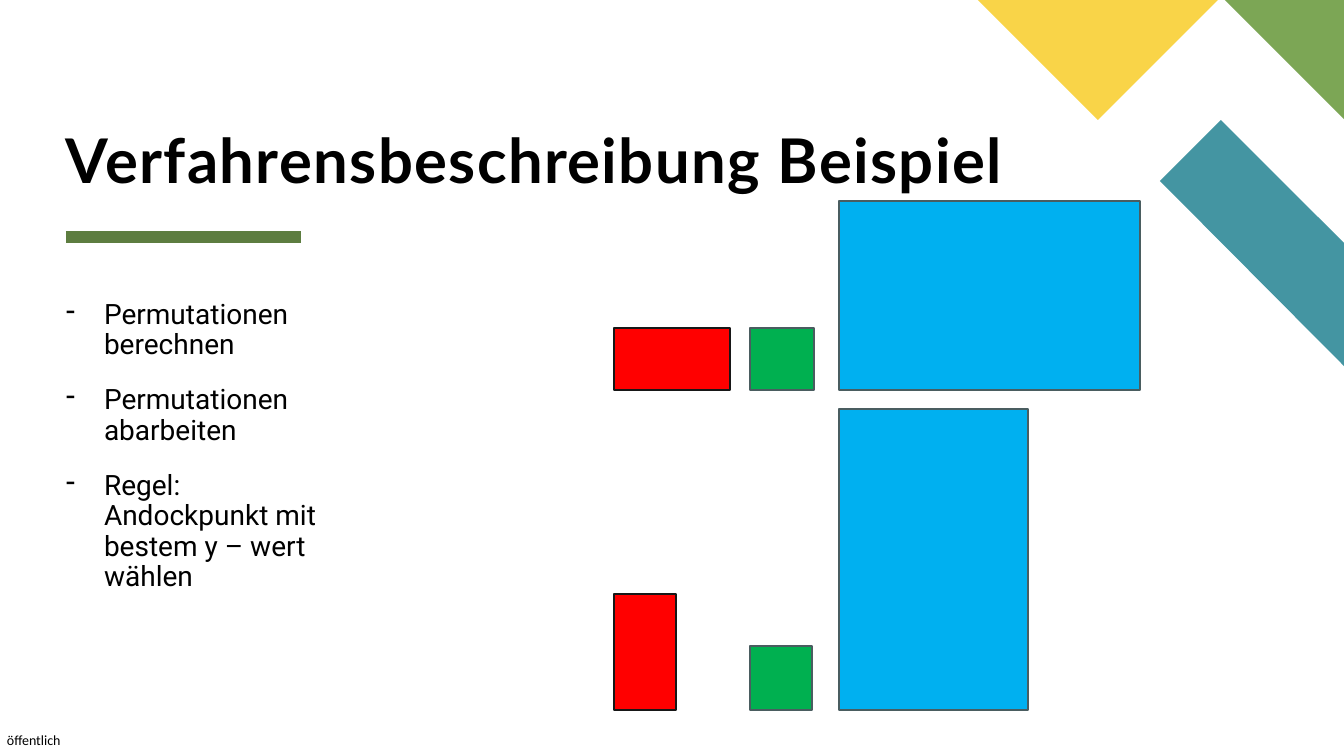
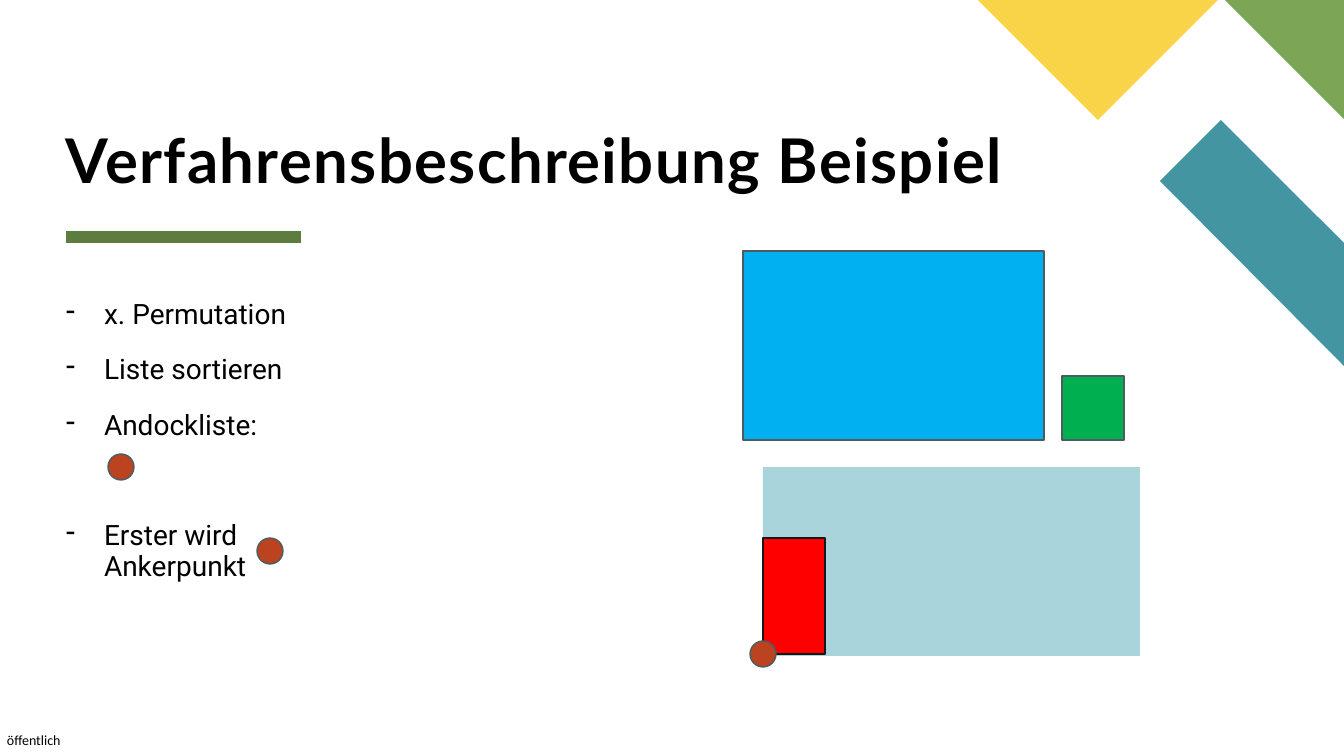
from dataclasses import dataclass

from lxml import etree
from pptx import Presentation
from pptx.dml.color import RGBColor
from pptx.enum.shapes import MSO_CONNECTOR, MSO_SHAPE
from pptx.enum.text import MSO_ANCHOR, MSO_AUTO_SIZE, PP_ALIGN
from pptx.oxml.ns import qn
from pptx.util import Pt

RECT, OVAL = MSO_SHAPE.RECTANGLE, MSO_SHAPE.OVAL
STRAIGHT = MSO_CONNECTOR.STRAIGHT
LEFT, BOTTOM, TOP = PP_ALIGN.LEFT, MSO_ANCHOR.BOTTOM, MSO_ANCHOR.TOP
NO_AUTOFIT = MSO_AUTO_SIZE.NONE

EMU_PER_PX = 914400 / 100.8
SLIDE_WIDTH, SLIDE_HEIGHT = 1344, 756
MARGIN = 66
BULLET_INDENT = 38
TITLE_ONLY = 5

COLORS = {
    "text": "000000",
    "teal": "4495A2",
    "leaf": "7CA655",
    "yellow": "F9D448",
    "rule": "5D7D40",
    "red": "FF0000",
    "green": "00B050",
    "blue": "00B0F0",
    "sheet": "A9D4DB",
    "rust": "BB431F",
    "dark edge": "171717",
    "edge": "4A5D60",
}

CORNER_BANDS = {
    "teal": [(1344, 366), (1344, 243), (1221, 120), (1160, 181)],
    "leaf": [(1344, 119), (1344, 0), (1225, 0)],
    "yellow": [(978, 0), (1098, 120), (1218, 0)],
}


@dataclass(frozen=True)
class Kind:
    width: int
    height: int
    fill: str
    edge: str | None = "edge"
    outline: int = RECT


@dataclass(frozen=True)
class Piece:
    kind: Kind
    left: int
    bottom: int
    turned: bool = False


@dataclass(frozen=True)
class Step:
    text: str
    space_before: float = 18


@dataclass(frozen=True)
class Page:
    title: str
    steps: list[Step]
    pieces: list[Piece]


RED = Kind(116, 62, "red", "dark edge")
GREEN = Kind(64, 62, "green")
BLUE = Kind(301, 189, "blue")
SHEET = Kind(377, 189, "sheet", None)
DOCK = Kind(26, 26, "rust", outline=OVAL)

TITLE = "Verfahrensbeschreibung Beispiel"
PAGES = [
    Page(
        TITLE,
        [
            Step("Permutationen berechnen"),
            Step("Permutationen abarbeiten"),
            Step("Regel: Andockpunkt mit bestem y – wert wählen"),
        ],
        [
            Piece(RED, 614, 390),
            Piece(GREEN, 750, 390),
            Piece(BLUE, 839, 390),
            Piece(BLUE, 839, 710, turned=True),
            Piece(RED, 614, 710, turned=True),
            Piece(GREEN, 750, 710, turned=True),
        ],
    ),
    Page(
        TITLE,
        [
            Step("x. Permutation"),
            Step("Liste sortieren"),
            Step("Andockliste:"),
            Step("Erster wird Ankerpunkt", space_before=57.6),
        ],
        [
            Piece(GREEN, 1062, 440, turned=True),
            Piece(BLUE, 743, 440),
            Piece(SHEET, 763, 656),
            Piece(DOCK, 108, 480),
            Piece(RED, 763, 654, turned=True),
            Piece(DOCK, 750, 667),
            Piece(DOCK, 257, 564),
        ],
    ),
]


def px(length: int) -> int:
    return round(length * EMU_PER_PX)


def color(name: str) -> RGBColor:
    return RGBColor.from_string(COLORS[name])


def place(shape, left: int, top: int, width: int, height: int) -> None:
    shape.left, shape.top = px(left), px(top)
    shape.width, shape.height = px(width), px(height)


def set_frame(frame, insets=(0, 0, 0, 0), anchor=TOP, wrap=True) -> None:
    frame.margin_left, frame.margin_top, frame.margin_right, frame.margin_bottom = map(px, insets)
    frame.vertical_anchor = anchor
    frame.word_wrap = wrap
    frame.auto_size = NO_AUTOFIT


def style_runs(paragraph, font: str, size: int, bold: bool = False) -> None:
    paragraph.alignment = LEFT
    for run in paragraph.runs:
        run.font.name, run.font.size, run.font.bold = font, Pt(size), bold
        run.font.color.rgb = color("text")


def paint(shape, fill: str, edge: str | None = None) -> None:
    shape.shadow.inherit = False
    shape.fill.solid()
    shape.fill.fore_color.rgb = color(fill)
    if edge:
        shape.line.color.rgb = color(edge)
        shape.line.width = Pt(1)
    else:
        shape.line.fill.background()


def add_frame_design(slide) -> None:
    """Draw the corner bands, the title rule and the classification label."""
    for fill, points in CORNER_BANDS.items():
        builder = slide.shapes.build_freeform(*points[0], scale=EMU_PER_PX)
        builder.add_line_segments(points[1:], close=True)
        paint(builder.convert_to_shape(), fill)

    rule = slide.shapes.add_connector(STRAIGHT, px(MARGIN), px(237), px(301), px(237))
    rule.line.color.rgb = color("rule")
    rule.line.width = Pt(8)
    etree.SubElement(rule._element.spPr, qn("a:effectLst"))

    label = slide.shapes.add_textbox(px(7), px(732), px(57), px(17)).text_frame
    set_frame(label, wrap=False)
    label.text = "öffentlich"
    style_runs(label.paragraphs[0], "Calibri", 10)


def add_title(slide, text: str) -> None:
    title = slide.shapes.title
    place(title, MARGIN, 22, 1210, 173)
    set_frame(title.text_frame, anchor=BOTTOM)
    title.text_frame.text = text
    paragraph = title.text_frame.paragraphs[0]
    paragraph.line_spacing = 0.8
    style_runs(paragraph, "Lato", 44, bold=True)
    for run in paragraph.runs:
        run._r.get_or_add_rPr().set("spc", "100")


def add_steps(slide, steps: list[Step]) -> None:
    frame = slide.shapes.add_textbox(px(MARGIN), px(295), px(278), px(396)).text_frame
    set_frame(frame, insets=(0, 5, 10, 5))
    frame.text = "\n".join(step.text for step in steps)
    for paragraph, step in zip(frame.paragraphs, steps):
        paragraph.line_spacing = 0.9
        paragraph.space_before = Pt(step.space_before)
        style_runs(paragraph, "Roboto", 20)
        properties = paragraph._p.get_or_add_pPr()
        properties.set("marL", str(px(BULLET_INDENT)))
        properties.set("indent", str(-px(BULLET_INDENT)))
        etree.SubElement(properties, qn("a:buChar"), char="-")


def add_piece(slide, piece: Piece) -> None:
    kind = piece.kind
    width, height = kind.width, kind.height
    if piece.turned:
        width, height = height, width
    top = piece.bottom - height
    shape = slide.shapes.add_shape(
        kind.outline, px(piece.left), px(top), px(width), px(height)
    )
    paint(shape, kind.fill, kind.edge)


def main() -> None:
    deck = Presentation()
    deck.slide_width, deck.slide_height = px(SLIDE_WIDTH), px(SLIDE_HEIGHT)
    for page in PAGES:
        slide = deck.slides.add_slide(deck.slide_layouts[TITLE_ONLY])
        add_frame_design(slide)
        add_title(slide, page.title)
        add_steps(slide, page.steps)
        for piece in page.pieces:
            add_piece(slide, piece)
    deck.save("out.pptx")


if __name__ == "__main__":
    main()
